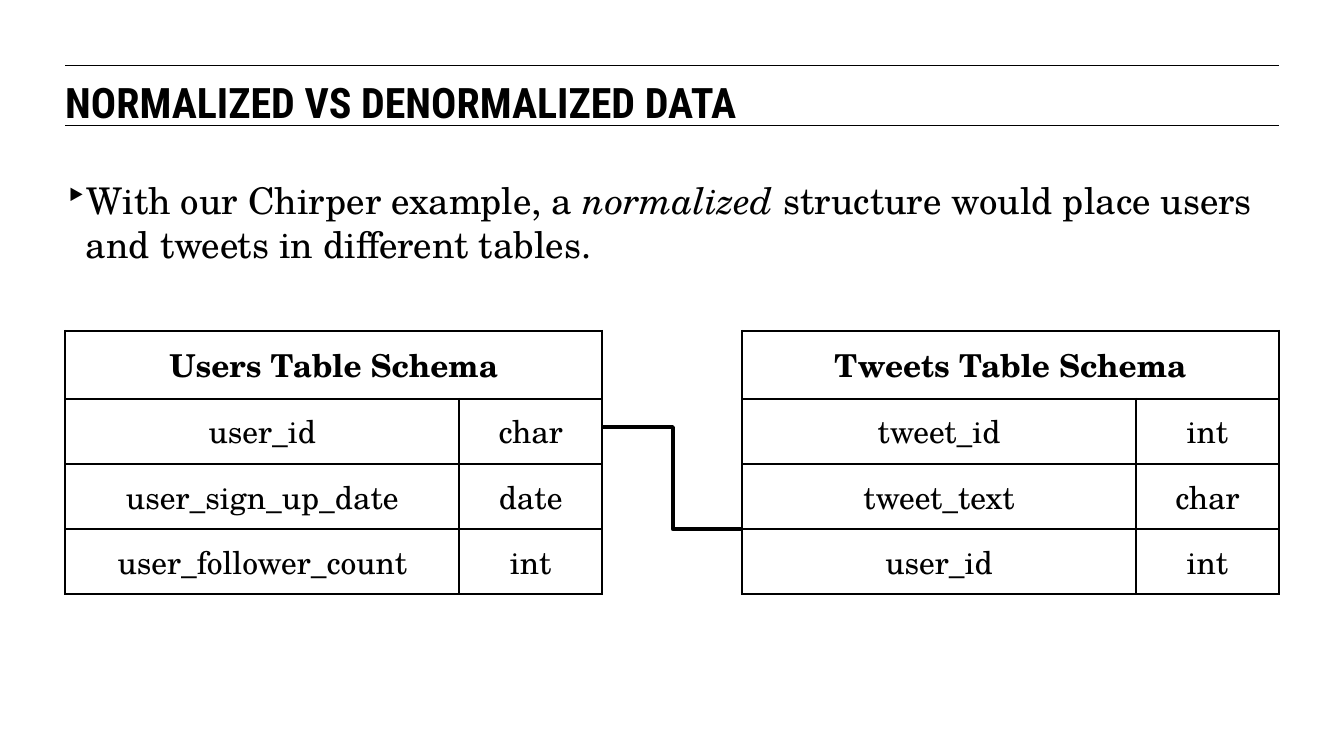
"""Build the slide that compares the users and tweets table schemas."""
from dataclasses import dataclass

from lxml import etree
from pptx import Presentation
from pptx.dml.color import RGBColor
from pptx.enum.shapes import MSO_CONNECTOR
from pptx.enum.text import MSO_ANCHOR, PP_ALIGN
from pptx.oxml.ns import qn
from pptx.slide import Slide
from pptx.table import _Cell
from pptx.text.text import TextFrame, _Run
from pptx.util import Inches, Pt

LINE = MSO_CONNECTOR.STRAIGHT
ELBOW = MSO_CONNECTOR.ELBOW
TOP = MSO_ANCHOR.TOP
MIDDLE = MSO_ANCHOR.MIDDLE
LEFT = PP_ALIGN.LEFT
CENTER = PP_ALIGN.CENTER


@dataclass(frozen=True)
class Theme:
    ink: str = "000000"
    paper: str = "FFFFFF"
    head: str = "Roboto Condensed"
    body: str = "TeX Gyre Schola"
    title: int = 32
    text: int = 28
    cell: int = 24
    rule: float = 0.75
    grid: float = 1.5
    link: float = 3


@dataclass(frozen=True)
class Schema:
    name: str
    left: float
    fields: tuple[tuple[str, str], ...]


@dataclass(frozen=True)
class Link:
    kind: int
    start: tuple[float, float]
    end: tuple[float, float]
    width: float


THEME = Theme()
INK = RGBColor.from_string(THEME.ink)
EDGE, WIDE, RIGHT = 0.69, 12.84, 13.53
TABLE_TOP, HEAD_ROW, ROW = 3.5, 0.72, 0.69
COLS = (4.17, 1.51)
SCHEMAS = (
    Schema("Users Table Schema", EDGE, (
        ("user_id", "char"),
        ("user_sign_up_date", "date"),
        ("user_follower_count", "int"),
    )),
    Schema("Tweets Table Schema", RIGHT - sum(COLS), (
        ("tweet_id", "int"),
        ("tweet_text", "char"),
        ("user_id", "int"),
    )),
)
LINKS = (
    Link(LINE, (EDGE, 0.69), (RIGHT, 0.69), THEME.rule),
    Link(LINE, (EDGE, 1.33), (RIGHT, 1.33), THEME.rule),
    Link(ELBOW, (6.38, 4.52), (7.86, 5.6), THEME.link),
)
POINT = (
    ("With our Chirper example, a ", False),
    ("normalized", True),
    (" structure would place users and tweets in different tables.", False),
)


def style(run: _Run, face: str, size: int, bold: bool = False) -> None:
    font = run.font
    font.name, font.size, font.bold = face, Pt(size), bold
    font.color.rgb = INK


def flush(frame: TextFrame) -> None:
    frame.word_wrap = True
    frame.vertical_anchor = TOP
    frame.margin_left = frame.margin_right = Inches(0)
    frame.margin_top = frame.margin_bottom = Inches(0)


def add_title(slide: Slide, text: str) -> None:
    title = slide.shapes.title
    title.left, title.top = Inches(EDGE), Inches(0.81)
    title.width, title.height = Inches(WIDE), Inches(0.47)
    frame = title.text_frame
    flush(frame)
    frame.text = text
    para = frame.paragraphs[0]
    para.alignment = LEFT
    style(para.runs[0], THEME.head, THEME.title, True)


def add_point(slide: Slide) -> None:
    box = slide.shapes.add_textbox(
        Inches(EDGE), Inches(1.88), Inches(WIDE), Inches(1))
    flush(box.text_frame)
    para = box.text_frame.paragraphs[0]
    for text, slant in POINT:
        run = para.add_run()
        run.text = text
        style(run, THEME.body, THEME.text)
        run.font.italic = slant
    props = para._p.get_or_add_pPr()
    props.set("marL", str(Inches(0.22)))
    props.set("indent", str(-Inches(0.22)))
    tint = etree.SubElement(props, qn("a:buClr"))
    etree.SubElement(tint, qn("a:srgbClr"), val=THEME.ink)
    etree.SubElement(props, qn("a:buChar"), char="‣")


def add_link(slide: Slide, link: Link) -> None:
    ends = [Inches(n) for n in link.start + link.end]
    line = slide.shapes.add_connector(link.kind, *ends)
    line.line.color.rgb = INK
    line.line.width = Pt(link.width)
    etree.SubElement(line._element.spPr, qn("a:effectLst"))


def format_cell(cell: _Cell, text: str, bold: bool) -> None:
    props = cell._tc.get_or_add_tcPr()
    for side in ("lnL", "lnR", "lnT", "lnB"):
        line = etree.SubElement(
            props, qn(f"a:{side}"), w=str(Pt(THEME.grid)))
        fill = etree.SubElement(line, qn("a:solidFill"))
        etree.SubElement(fill, qn("a:srgbClr"), val=THEME.ink)
    cell.fill.background()
    cell.margin_left = cell.margin_right = Inches(0.1)
    cell.margin_top = cell.margin_bottom = Inches(0.1)
    cell.vertical_anchor = MIDDLE
    cell.text_frame.text = text
    para = cell.text_frame.paragraphs[0]
    para.alignment = CENTER
    for run in para.runs:
        style(run, THEME.body, THEME.cell, bold)


def add_schema(slide: Slide, schema: Schema) -> None:
    rows = ((schema.name, ""),) + schema.fields
    high = HEAD_ROW + ROW * len(schema.fields)
    table = slide.shapes.add_table(
        len(rows), len(COLS), Inches(schema.left), Inches(TABLE_TOP),
        Inches(sum(COLS)), Inches(high)).table
    table.first_row = table.horz_banding = False
    for col, width in zip(table.columns, COLS):
        col.width = Inches(width)
    for i, row in enumerate(rows):
        table.rows[i].height = Inches(ROW if i else HEAD_ROW)
        for j, text in enumerate(row):
            format_cell(table.cell(i, j), text, i == 0)
    table.cell(0, 0).merge(table.cell(0, 1))


def main() -> None:
    deck = Presentation()
    deck.slide_width, deck.slide_height = Inches(14.22), Inches(7.99)
    slide = deck.slides.add_slide(deck.slide_layouts[5])
    fill = slide.background.fill
    fill.solid()
    fill.fore_color.rgb = RGBColor.from_string(THEME.paper)
    add_title(slide, "NORMALIZED VS DENORMALIZED DATA")
    add_point(slide)
    for schema in SCHEMAS:
        add_schema(slide, schema)
    for link in LINKS:
        add_link(slide, link)
    deck.save("out.pptx")


if __name__ == "__main__":
    main()
